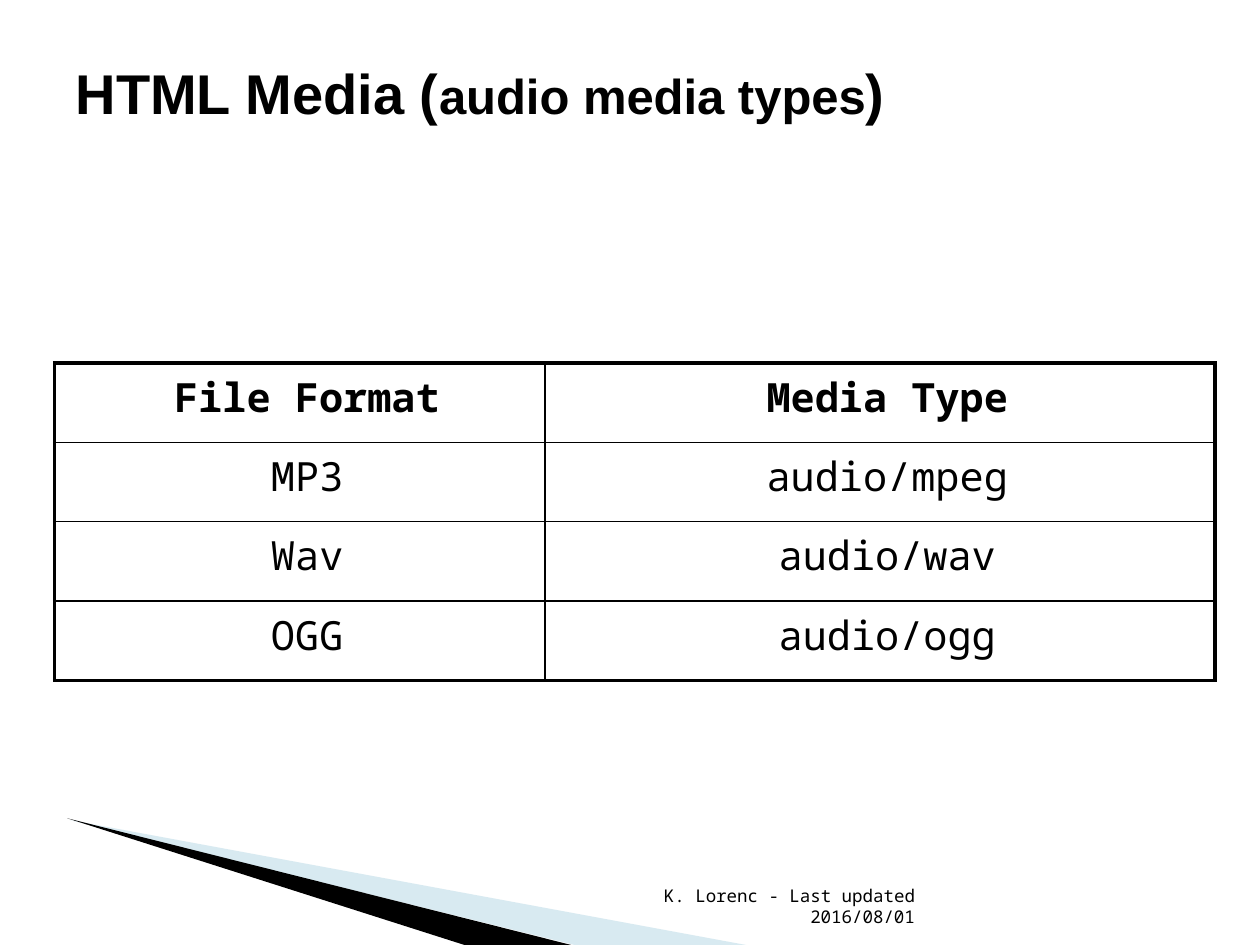
from lxml import etree
from pptx import Presentation
from pptx.dml.color import RGBColor
from pptx.enum.text import MSO_ANCHOR, MSO_AUTO_SIZE, PP_ALIGN
from pptx.oxml.ns import qn
from pptx.util import Pt

LEFT, CENTER, RIGHT = PP_ALIGN.LEFT, PP_ALIGN.CENTER, PP_ALIGN.RIGHT
MIDDLE, BOTTOM = MSO_ANCHOR.MIDDLE, MSO_ANCHOR.BOTTOM
NO_AUTOFIT = MSO_AUTO_SIZE.NONE

BLACK, PALE_BLUE = "000000", "9FCBDC"
HEADING_FONT, BODY_FONT = "Arial", "Noto Sans Mono"
THIN, THICK = 1, 2.25

MEDIA_TYPES = [
    ("File Format", "Media Type"),
    ("MP3", "audio/mpeg"),
    ("Wav", "audio/wav"),
    ("OGG", "audio/ogg"),
]


def color(hex_value):
    return RGBColor.from_string(hex_value)


def format_span(span, font, size, bold=False):
    span.font.name = font
    span.font.size = Pt(size)
    span.font.bold = bold
    span.font.color.rgb = color(BLACK)


def place(shape, box):
    shape.left, shape.top, shape.width, shape.height = (Pt(v) for v in box)


def add_wedge(page, points, fill, opacity=100):
    """Draw a filled sliver through the given corners."""
    corners = [(Pt(x), Pt(y)) for x, y in points]
    builder = page.shapes.build_freeform(*corners[0], scale=1.0)
    builder.add_line_segments(corners[1:], close=True)
    wedge = builder.convert_to_shape()
    wedge.shadow.inherit = False
    wedge.fill.solid()
    wedge.fill.fore_color.rgb = color(fill)
    wedge.line.fill.background()
    if opacity < 100:
        tone = wedge.fill._xPr.find(".//" + qn("a:srgbClr"))
        etree.SubElement(tone, qn("a:alpha"), val=str(opacity * 1000))


def add_corner_decoration(page, box):
    left, top, width, height = box
    bottom = top + height
    tip = (left, top)
    add_wedge(page, [(left + 1.5, top + 1), (left + width, bottom),
                     (left + 290, bottom)], PALE_BLUE, 40)
    add_wedge(page, [tip, (left + 288, bottom), (left + 227, bottom)], BLACK)


def add_footer(page, box):
    footer = page.shapes.add_textbox(*(Pt(v) for v in box))
    frame = footer.text_frame
    frame.word_wrap = True
    frame.vertical_anchor = BOTTOM
    frame.text = "K. Lorenc - Last updated 2016/08/01"
    para = frame.paragraphs[0]
    para.alignment = RIGHT
    format_span(para.runs[0], BODY_FONT, 10)


def fill_title(page, box):
    title = page.shapes.title
    place(title, box)
    frame = title.text_frame
    frame.auto_size = NO_AUTOFIT
    frame.vertical_anchor = MIDDLE
    para = frame.paragraphs[0]
    para.alignment = LEFT
    for text, size in [("HTML Media (", 32), ("audio media types", 28), (")", 32)]:
        span = para.add_run()
        span.text = text
        format_span(span, HEADING_FONT, size, bold=True)


def set_borders(cell, widths):
    """Border a cell; widths are for left, right, top and bottom."""
    properties = cell._tc.get_or_add_tcPr()
    for index, (side, width) in enumerate(zip("LRTB", widths)):
        line = etree.Element(qn("a:ln" + side), w=str(Pt(width)))
        fill = etree.SubElement(line, qn("a:solidFill"))
        etree.SubElement(fill, qn("a:srgbClr"), val=BLACK)
        properties.insert(index, line)


def add_media_table(page, box, column_widths):
    row_count, column_count = len(MEDIA_TYPES), len(column_widths)
    frame = page.shapes.add_table(row_count, column_count, *(Pt(v) for v in box))
    table = frame.table
    table.first_row = table.horz_banding = False
    for column, width in zip(table.columns, column_widths):
        column.width = Pt(width)
    for r, row in enumerate(MEDIA_TYPES):
        table.rows[r].height = Pt(box[3] / row_count)
        for c, text in enumerate(row):
            cell = table.cell(r, c)
            cell.fill.background()
            cell.text = text
            para = cell.text_frame.paragraphs[0]
            para.alignment = CENTER
            para.space_before = Pt(4)
            para._p.get_or_add_pPr().set("marL", str(Pt(8.64)))
            format_span(para.runs[0], BODY_FONT, 23, bold=r == 0)
            outer = (c == 0, c == column_count - 1, r == 0, r == row_count - 1)
            set_borders(cell, [THICK if edge else THIN for edge in outer])


def main():
    deck = Presentation()
    deck.slide_width, deck.slide_height = Pt(720), Pt(540)
    page = deck.slides.add_slide(deck.slide_layouts[5])
    add_corner_decoration(page, (38.4, 467.6, 388, 72.4))
    add_footer(page, (344.9, 504.7, 185, 28.8))
    fill_title(page, (36, 21.6, 648, 62.6))
    add_media_table(page, (31.2, 207.4, 663.1, 181.4), (280.1, 383))
    deck.save("out.pptx")


if __name__ == "__main__":
    main()
